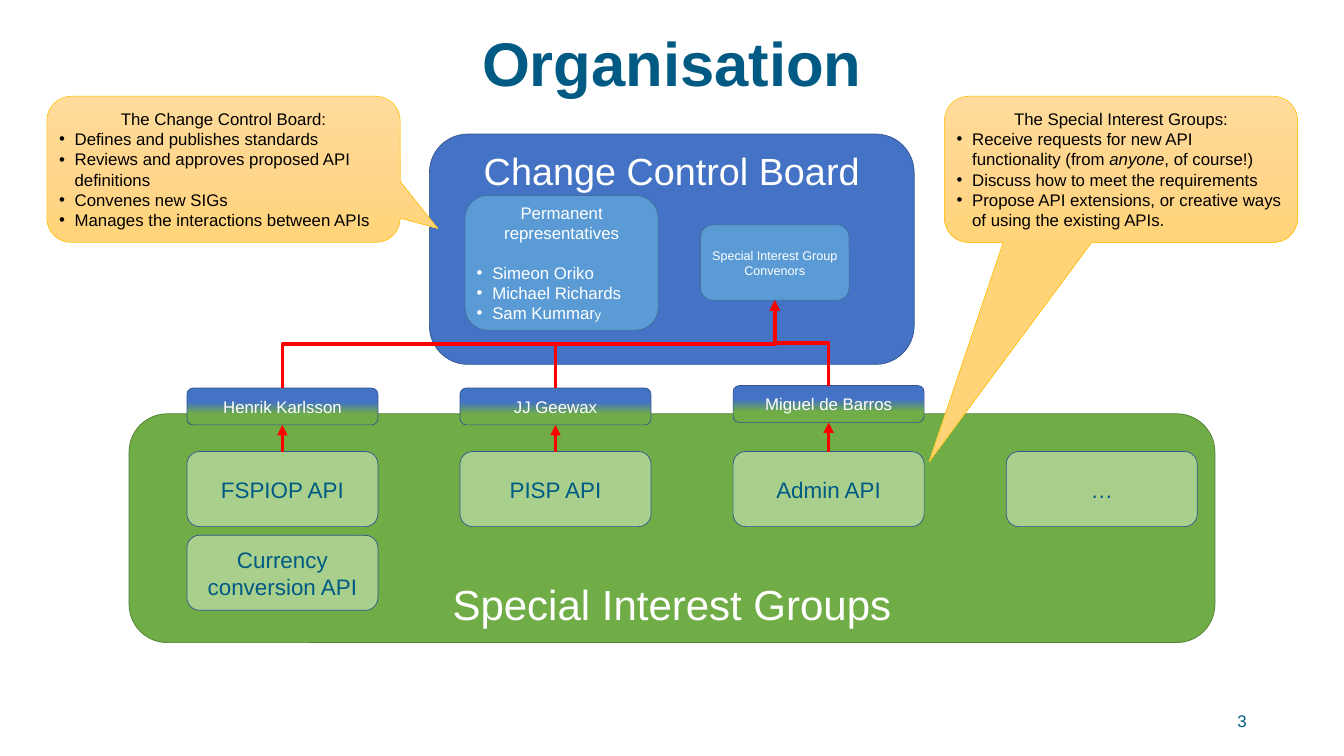
from dataclasses import dataclass
from typing import NamedTuple, Optional

from pptx import Presentation, util as u
from pptx.dml.color import RGBColor
from pptx.enum import shapes, text
from pptx.oxml import parse_xml
from pptx.oxml.ns import nsdecls, qn

WIDTH, HEIGHT = u.Inches(26.67), u.Inches(15)
LEFT, CENTER, RIGHT = text.PP_ALIGN.LEFT, text.PP_ALIGN.CENTER, text.PP_ALIGN.RIGHT
TOP, MIDDLE, BOTTOM = text.MSO_ANCHOR.TOP, text.MSO_ANCHOR.MIDDLE, text.MSO_ANCHOR.BOTTOM
ROUND = shapes.MSO_SHAPE.ROUNDED_RECTANGLE
CALLOUT = shapes.MSO_SHAPE.ROUNDED_RECTANGULAR_CALLOUT

WHITE, BLACK, TEAL, RED = "FFFFFF", "000000", "005A83", "FF0000"
BLUE, NAVY, SKY, STEEL = "4472C4", "31538F", "5B9BD5", "42719B"
GREEN, FOREST, LIME, GOLD = "70AD47", "517E33", "A8D08C", "FFC000"
BLUE_TO_GREEN = ((0, BLUE), (38, BLUE), (71, GREEN), (100, GREEN))
AMBER = ((0, "FFDC9B"), (50, "FFD68D"), (100, "FFD478"))

# Grid of the interest groups, in percent of the slide
COL_X, COL_STEP, CELL_W = 13.91, 20.32, 14.21
ROW_Y, ROW_STEP, CELL_H = 59.73, 11.07, 9.93


class Box(NamedTuple):
    """Left, top, width and height in percent of the slide."""
    x: float
    y: float
    w: float
    h: float

    def emu(self):
        return [int(share * side / 100)
                for share, side in zip(self, (WIDTH, HEIGHT, WIDTH, HEIGHT))]


class Run(NamedTuple):
    text: str
    size: Optional[float] = None
    italic: Optional[bool] = None


@dataclass
class Panel:
    box: Box
    head: str
    fill: object
    line: str
    size: float
    color: str = WHITE
    bullets: tuple = ()
    gap: float = 0
    anchor: text.MSO_ANCHOR = MIDDLE
    kind: shapes.MSO_SHAPE = ROUND
    adj: tuple = (0.167,)
    line_width: float = 1


def rgb(color: str) -> RGBColor:
    return RGBColor.from_string(color)


def add_bullet(p, color: str):
    pPr = p._p.get_or_add_pPr()
    pPr.set("marL", str(u.Inches(0.31)))
    pPr.set("indent", str(-u.Inches(0.31)))
    for xml in (f'<a:buClr {nsdecls("a")}><a:srgbClr val="{color}"/></a:buClr>',
                f'<a:buFont {nsdecls("a")} typeface="Arial"/>',
                f'<a:buChar {nsdecls("a")} char="•"/>'):
        pPr.append(parse_xml(xml))


def write(tf, head, *, size, color, bullets=(), gap=0, align=CENTER,
          anchor=MIDDLE, bold=False, spacing=None):
    """Write a heading, then a bulleted list that starts gap points below it."""
    tf.word_wrap = True
    tf.vertical_anchor = anchor
    tf.margin_left = tf.margin_right = u.Inches(0.1)
    tf.margin_top = tf.margin_bottom = u.Inches(0.05)
    for i, content in enumerate((head, *bullets)):
        p = tf.add_paragraph() if i else tf.paragraphs[0]
        p.alignment = LEFT if i else align
        if spacing:
            p.line_spacing = spacing
        if i == 1 and gap:
            p.space_before = u.Pt(gap)
        if i:
            add_bullet(p, color)
        for run in (Run(content),) if isinstance(content, str) else content:
            r = p.add_run()
            r.text = run.text
            r.font.name = "Arial"
            r.font.size = u.Pt(run.size or size)
            r.font.bold = bold
            r.font.italic = run.italic
            r.font.color.rgb = rgb(color)


def fill_shape(sp, fill):
    """Fill with one colour, or downwards with (percent, colour) stops."""
    if isinstance(fill, str):
        sp.fill.solid()
        sp.fill.fore_color.rgb = rgb(fill)
        return
    sp.fill.gradient()
    stops = "".join(f'<a:gs pos="{pos * 1000}"><a:srgbClr val="{color}"/></a:gs>'
                    for pos, color in fill)
    spPr = sp._element.spPr
    spPr.replace(spPr.find(qn("a:gradFill")), parse_xml(
        f'<a:gradFill {nsdecls("a")} rotWithShape="1"><a:gsLst>{stops}</a:gsLst>'
        '<a:lin ang="5400000" scaled="0"/></a:gradFill>'))


def add_panel(slide, panel: Panel):
    sp = slide.shapes.add_shape(panel.kind, *panel.box.emu())
    sp.shadow.inherit = False
    for i, value in enumerate(panel.adj):
        sp.adjustments[i] = value
    fill_shape(sp, panel.fill)
    sp.line.color.rgb = rgb(panel.line)
    sp.line.width = u.Pt(panel.line_width)
    write(sp.text_frame, panel.head, size=panel.size, color=panel.color,
          bullets=panel.bullets, gap=panel.gap, anchor=panel.anchor)
    return sp


def add_arrow(slide, lower, upper, kind=shapes.MSO_CONNECTOR.STRAIGHT):
    """Join the top of the lower shape to the bottom of the upper one."""
    c = slide.shapes.add_connector(kind, 0, 0, 0, 0)
    c.begin_connect(lower, 0)
    c.end_connect(upper, 2)
    spPr = c._element.spPr
    if kind == shapes.MSO_CONNECTOR.ELBOW:
        # A quarter turn makes the elbow leave upwards
        x1, y1, x2, y2 = c.begin_x, c.begin_y, c.end_x, c.end_y
        c.width, c.height = y1 - y2, abs(x2 - x1)
        c.left, c.top = (x1 + x2 - c.width) // 2, (y1 + y2 - c.height) // 2
        xfrm = spPr.find(qn("a:xfrm"))
        xfrm.set("rot", "16200000")
        xfrm.set("flipH", "0")
        xfrm.set("flipV", "1" if x2 < x1 else "0")
    c.line.color.rgb = rgb(RED)
    c.line.width = u.Pt(5)
    c.line._get_or_add_ln().append(parse_xml(f'<a:tailEnd {nsdecls("a")} type="triangle"/>'))
    spPr.append(parse_xml(f'<a:effectLst {nsdecls("a")}/>'))


def api_panel(name: str, col: int, row: int = 0) -> Panel:
    box = Box(COL_X + col * COL_STEP, ROW_Y + row * ROW_STEP, CELL_W, CELL_H)
    return Panel(box, name, LIME, NAVY, 32, TEAL)


def convenor_panel(name: str, col: int, y: float) -> Panel:
    return Panel(Box(COL_X + col * COL_STEP, y, CELL_W, 4.87), name, BLUE_TO_GREEN, NAVY, 24)


def callout(x: float, head: str, bullets: tuple, tip: tuple) -> Panel:
    return Panel(Box(x, 12.73, 26.28, 19.33), head, AMBER, GOLD, 24, BLACK, bullets,
                 kind=CALLOUT, adj=(*tip, 0.167), line_width=0.75)


BOARD = Panel(Box(31.95, 17.73, 36.07, 30.47), "Change Control Board", BLUE, NAVY, 54, anchor=TOP)
REPRESENTATIVES = Panel(
    Box(34.61, 25.87, 14.36, 17.8), "Permanent representatives", SKY, STEEL, 24, gap=27.6,
    bullets=("Simeon Oriko", "Michael Richards", (Run("Sam Kummar"), Run("y", 18))))
CONVENORS = Panel(Box(52.12, 29.73, 11.06, 10), "Special Interest Group Convenors", SKY, STEEL, 18)
GROUPS = Panel(Box(9.6, 54.73, 80.8, 30.27), "Special Interest Groups", GREEN, FOREST, 60,
               anchor=BOTTOM)
APIS = ("FSPIOP API", "PISP API", "Admin API", "…")
CONVENOR_NAMES = (("Henrik Karlsson", 51.33), ("JJ Geewax", 51.33), ("Miguel de Barros", 51))
CALLOUTS = (
    callout(3.49, "The Change Control Board:",
            ("Defines and publishes standards", "Reviews and approves proposed API definitions",
             "Convenes new SIGs", "Manages the interactions between APIs"), (0.606, 0.404)),
    callout(70.27, "The Special Interest Groups:",
            ((Run("Receive requests for new API functionality (from "),
              Run("anyone", italic=True), Run(", of course!)")),
             "Discuss how to meet the requirements",
             "Propose API extensions, or creative ways of using the existing APIs."),
            (-0.543, 2)),
)


def main():
    prs = Presentation()
    prs.slide_width, prs.slide_height = WIDTH, HEIGHT
    slide = prs.slides.add_slide(prs.slide_layouts[5])
    title = slide.shapes.title
    title.left, title.top, title.width, title.height = Box(2.32, 3.4, 95.35, 10.87).emu()
    write(title.text_frame, "Organisation", size=88, color=TEAL, bold=True, spacing=0.9)
    number = slide.shapes.add_textbox(*Box(70.64, 92.67, 22.5, 5.33).emu())
    write(number.text_frame, "3", size=24, color=TEAL, align=RIGHT)

    add_panel(slide, BOARD)
    add_panel(slide, REPRESENTATIVES)
    convenors = add_panel(slide, CONVENORS)
    add_panel(slide, GROUPS)
    apis = [add_panel(slide, api_panel(name, col)) for col, name in enumerate(APIS)]
    add_panel(slide, api_panel("Currency conversion API", 0, 1))
    people = [add_panel(slide, convenor_panel(name, col, y))
              for col, (name, y) in enumerate(CONVENOR_NAMES)]
    for person in people:
        add_arrow(slide, person, convenors, shapes.MSO_CONNECTOR.ELBOW)
    for api, person in zip(apis, people):
        add_arrow(slide, api, person)
    for panel in CALLOUTS:
        add_panel(slide, panel)
    prs.save("out.pptx")


if __name__ == "__main__":
    main()
